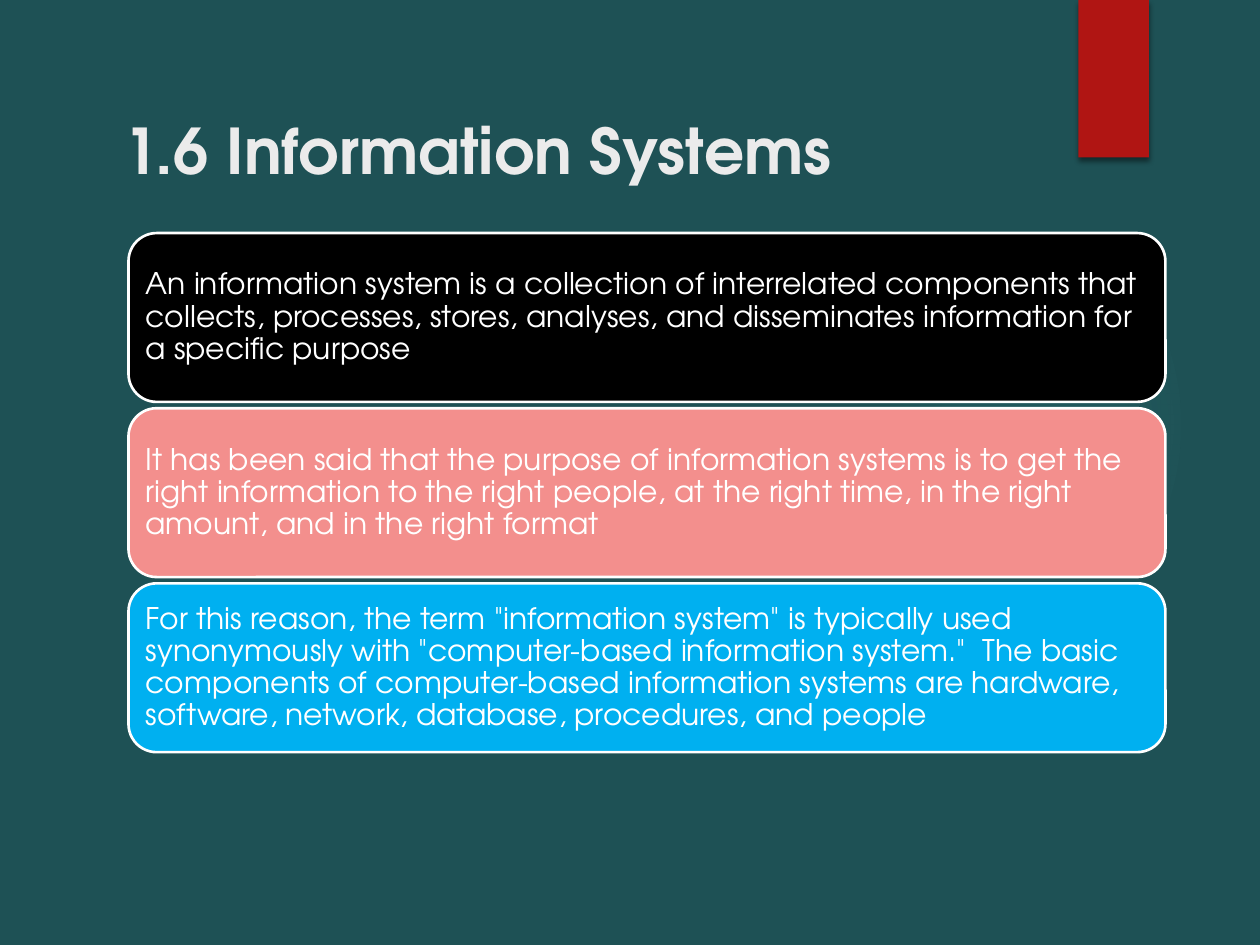
from lxml.etree import SubElement
from pptx import Presentation
from pptx.dml.color import RGBColor
from pptx.enum.shapes import MSO_SHAPE
from pptx.enum.text import MSO_ANCHOR, PP_ALIGN
from pptx.oxml import parse_xml
from pptx.oxml.ns import nsdecls, qn
from pptx.util import Inches, Pt

FONT = "TeX Gyre Adventor"
TEAL = RGBColor(0x1E, 0x51, 0x55)
RED = RGBColor(0xB0, 0x15, 0x13)
PALE = RGBColor(0xEB, 0xEB, 0xEB)
WHITE = RGBColor(0xFF, 0xFF, 0xFF)
BLACK = RGBColor(0x00, 0x00, 0x00)
PINK = RGBColor(0xF3, 0x8F, 0x8D)
BLUE = RGBColor(0x00, 0xB0, 0xF0)

STATEMENTS = [
    (BLACK, "An information system is a collection of interrelated components that "
            "collects, processes, stores, analyses, and disseminates information for "
            "a specific purpose"),
    (PINK, "It has been said that the purpose of information systems is to get the "
           "right information to the right people, at the right time, in the right "
           "amount, and in the right format"),
    (BLUE, 'For this reason, the term "information system" is typically used '
           'synonymously with "computer-based information system."  The basic '
           "components of computer-based information systems are hardware, "
           "software, network, database, procedures, and people"),
]


def add_box(page, kind, left, top, width, height, color):
    box = page.shapes.add_shape(
        kind, Inches(left), Inches(top), Inches(width), Inches(height))
    box.shadow.inherit = False
    box.fill.solid()
    box.fill.fore_color.rgb = color
    box.line.fill.background()
    return box


def set_text(box, text, size, color):
    frame = box.text_frame
    frame.word_wrap = True
    frame.vertical_anchor = MSO_ANCHOR.MIDDLE
    para = frame.paragraphs[0]
    para.text = text
    para.alignment = PP_ALIGN.LEFT
    para.font.name = FONT
    para.font.size = Pt(size)
    para.font.color.rgb = color
    return para


deck = Presentation()
deck.slide_width = Inches(10)
deck.slide_height = Inches(7.5)
page = deck.slides.add_slide(deck.slide_layouts[5])
page.background.fill.solid()
page.background.fill.fore_color.rgb = TEAL

glow = add_box(page, MSO_SHAPE.OVAL, 7.06, 1.83, 2.31, 3.08, TEAL)
stops = "".join(
    f'<a:gs pos="{position}000"><a:srgbClr val="50B9C1">'
    f'<a:alpha val="{alpha}000"/></a:srgbClr></a:gs>'
    for position, alpha in [(0, 7), (36, 6), (69, 0)])
gradient = parse_xml(
    f'<a:gradFill {nsdecls("a")}><a:gsLst>{stops}</a:gsLst><a:path path="circle">'
    '<a:fillToRect l="50000" t="50000" r="50000" b="50000"/></a:path></a:gradFill>')
solid = glow.element.spPr.find(qn("a:solidFill"))
solid.getparent().replace(solid, gradient)

ribbon = add_box(page, MSO_SHAPE.RECTANGLE, 8.56, 0, 0.56, 1.25, RED)
effects = ribbon.element.spPr.find(qn("a:effectLst"))
shadow = SubElement(effects, qn("a:outerShdw"), blurRad=str(Pt(3)),
                    dist=str(Pt(2)), dir="5400000", rotWithShape="0")
shadow_color = SubElement(shadow, qn("a:srgbClr"), val="000000")
SubElement(shadow_color, qn("a:alpha"), val="45000")

title = page.shapes.title
title.left, title.top = Inches(0.88), Inches(0.83)
title.width, title.height = Inches(7.42), Inches(0.71)
set_text(title, "1.6 Information Systems", 36, PALE).font.bold = True

for index, (color, statement) in enumerate(STATEMENTS):
    card = add_box(page, MSO_SHAPE.ROUNDED_RECTANGLE,
                   1.02, 1.85 + index * 1.39, 8.23, 1.34, color)
    card.line.color.rgb = WHITE
    card.line.width = Pt(1.5)
    frame = card.text_frame
    frame.margin_left = frame.margin_right = Inches(0.07)
    frame.margin_top = frame.margin_bottom = Inches(0.07)
    set_text(card, statement, 17, WHITE).line_spacing = 0.9

deck.save("out.pptx")
